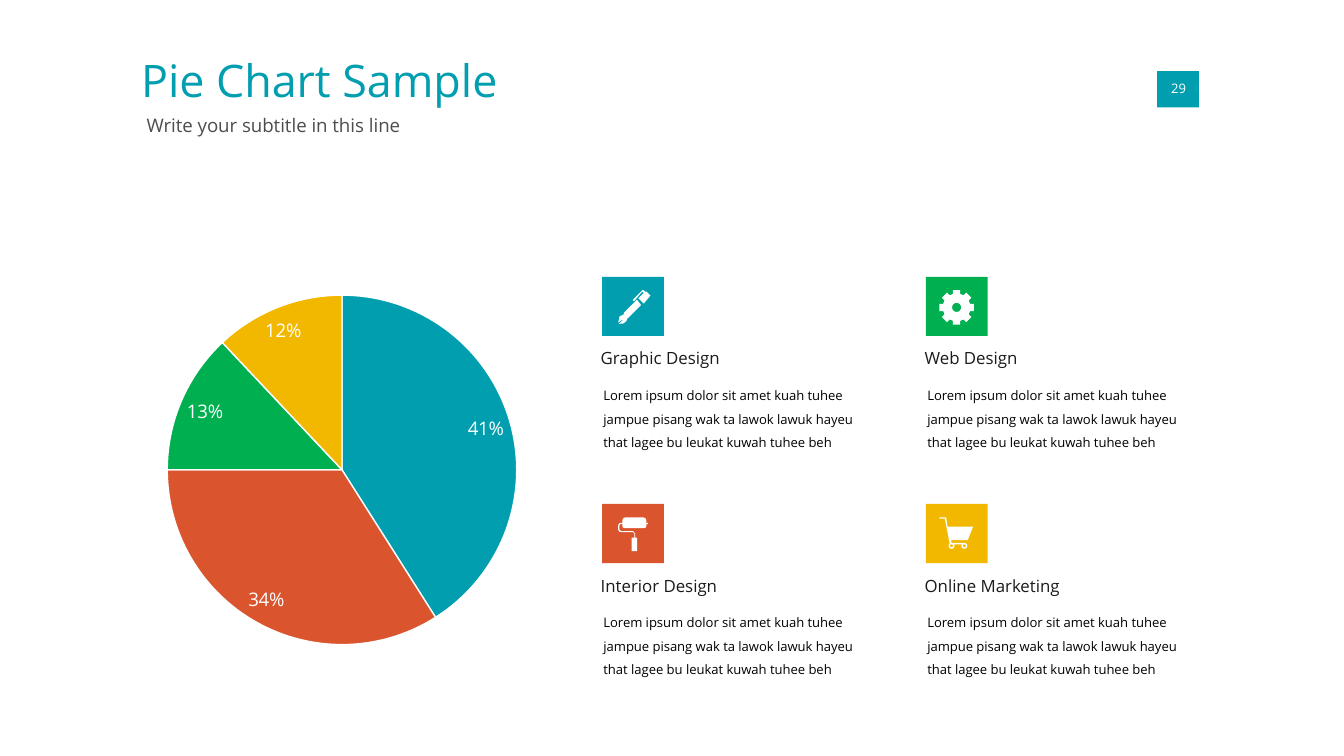
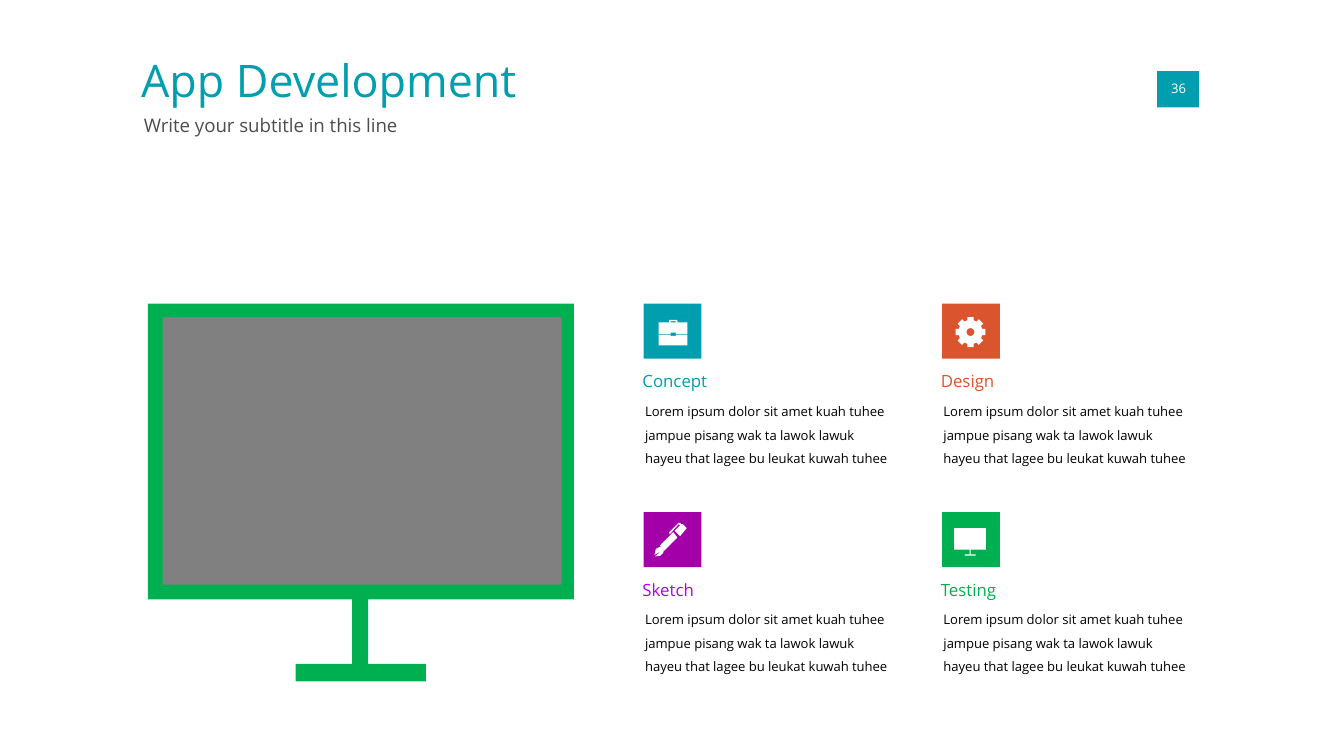
"""Build a pie chart slide and an app development slide."""
from dataclasses import dataclass
from math import cos, radians, sin

from lxml import etree
from pptx import Presentation
from pptx.chart.data import CategoryChartData
from pptx.dml.color import RGBColor
from pptx.enum.chart import XL_CHART_TYPE as ChartType, XL_LABEL_POSITION as LabelPos
from pptx.enum.shapes import MSO_SHAPE as Shape
from pptx.enum.text import MSO_ANCHOR as Anchor, MSO_AUTO_SIZE as AutoSize, PP_ALIGN as Align
from pptx.oxml.ns import qn
from pptx.util import Inches, Pt

TEAL = RGBColor(0x00, 0x9E, 0xAF)
RED = RGBColor(0xDA, 0x54, 0x2D)
GREEN = RGBColor(0x00, 0xB0, 0x50)
YELLOW = RGBColor(0xF2, 0xB8, 0x00)
PURPLE = RGBColor(0xA3, 0x00, 0xAA)
VIOLET = RGBColor(0xAE, 0x00, 0xF0)
GRAY = RGBColor(0x80, 0x80, 0x80)
DARK = RGBColor(0x4D, 0x4D, 0x4D)
INK = RGBColor(0x1A, 0x1A, 0x1A)
BLACK = RGBColor(0x00, 0x00, 0x00)
WHITE = RGBColor(0xFF, 0xFF, 0xFF)

FONT = "Open Sans"
SUBTITLE = "Write your subtitle in this line"
LOREM = ("Lorem ipsum dolor sit amet kuah tuhee jampue pisang wak ta lawok "
         "lawuk hayeu that lagee bu leukat kuwah tuhee")


def arc(cx, cy, r, start=0, end=360, n=16):
    """Return points along an arc, with angles running clockwise from the right."""
    angles = [radians(start + (end - start) * i / n) for i in range(n + 1)]
    return [(cx + r * cos(a), cy + r * sin(a)) for a in angles]


def gear(c=12.8, half=2.7, root=10, teeth=8):
    """Return the outline of a gear and its round hole."""
    tooth = [(root, -half), (c, -half), (c, half), (root, half)]
    outline = []
    for i in range(teeth):
        a = radians(360 * i / teeth)
        outline += [(c + x * cos(a) - y * sin(a), c + x * sin(a) + y * cos(a)) for x, y in tooth]
    return [outline, arc(c, c, 3.4)]


def monitor(w, h, neck, foot, base, bottom):
    """Return the outline of a screen on a stand."""
    (n1, n2), (f1, f2) = neck, foot
    return [[(w, h), (w, 0), (0, 0), (0, h), (n1, h), (n1, base), (f1, base),
             (f1, bottom), (f2, bottom), (f2, base), (n2, base), (n2, h)]]


PEN = [
    [[(11, 8), (12, 8), (18, 1), (19, 2), (15, 6), (19, 10), (24, 4), (21, 1),
      (20, 1), (19, 0), (18, 0), (11, 7)]],
    [[(17, 11), (14, 7), (4, 17), (5, 18), (4, 18), (2, 19), (1, 19.5), (0.5, 22),
      (0, 24), (3, 22), (3.4, 22.4), (0.4, 25), (4, 24.7), (6, 23), (6.8, 21.5),
      (6, 20), (7, 21)]],
]
ROLLER = [[[
    (21, 4), (21, 3), (20.6, 1), (19, 0), (5, 0), (3.4, 1), (3, 3), (3, 4), (2, 4),
    (0.5, 4.6), (0, 6), (0, 9), (0.6, 10.5), (2, 11), (11, 11), (12, 12), (12, 15),
    (10, 15), (10, 25), (14, 25), (14, 15), (12.6, 15), (12.6, 12), (11, 10.2),
    (2, 10.2), (0.8, 9), (0.8, 6), (2, 4.8), (3, 4.8), (3, 6), (3.4, 7.5), (5, 8),
    (19, 8), (20.6, 7.5), (21, 6), (21, 5), (22, 5), (22, 4)]]]
CART = [[
    [(25, 7), (6, 7), (5, 0), (0, 0), (0, 1), (4, 1), (7.5, 19),
     *arc(9, 21.2, 2.2, 240, -30), *arc(18.5, 21.2, 2.2, 210, -90),
     (9, 19), (8.6, 17), (21, 17)],
    arc(9, 21.2, 1.1), arc(18.5, 21.2, 1.1)]]
BRIEFCASE = [
    [[(14, 11), (13, 11), (13, 12), (9, 12), (9, 11), (0, 11), (0, 19), (21.5, 19),
      (21.5, 11)]],
    [[(14, 2), (14, 0), (8, 0), (8, 2), (0, 2), (0, 10.4), (9, 10.4), (9, 9.5),
      (13, 9.5), (13, 10.4), (21.5, 10.4), (21.5, 2)],
     [(9, 1), (13, 1), (13, 2), (9, 2)]],
]
GEAR = [gear()]
SCREEN = [monitor(23.5, 16, (11.5, 12.3), (8, 16), 19.5, 20.5)]
DESKTOP = [monitor(317, 220, (152, 164), (110, 207), 268, 281)]


@dataclass
class Grid:
    """Sizes shared by the four cards of a slide."""
    x: float
    y: float
    dx: float
    dy: float
    tile: tuple
    text_w: float
    label_y: float
    body_y: float
    body_h: float


def paint(sp, color):
    """Give a shape a flat fill without line or shadow."""
    sp.shadow.inherit = False
    sp.fill.solid()
    sp.fill.fore_color.rgb = color
    sp.line.fill.background()


def add_rect(s, x, y, w, h, color):
    """Add a flat rectangle."""
    sp = s.shapes.add_shape(Shape.RECTANGLE, Inches(x), Inches(y), Inches(w), Inches(h))
    paint(sp, color)


def add_outline(s, x, y, parts, color, scale=1):
    """Draw outlines, given in hundredths of an inch, from a top left corner."""
    for contours in parts:
        fb = None
        for contour in contours:
            pts = [(Inches(x + px * scale / 100), Inches(y + py * scale / 100))
                   for px, py in contour]
            if fb is None:
                fb = s.shapes.build_freeform(*pts[0], scale=1.0)
            else:
                fb.move_to(*pts[0])
            fb.add_line_segments(pts[1:], close=True)
        paint(fb.convert_to_shape(), color)


def set_font(font, size, color):
    """Apply the deck's font with a size and colour."""
    for name, value in {"name": FONT, "size": Pt(size)}.items():
        setattr(font, name, value)
    font.color.rgb = color


def add_text(s, x, y, w, h, text, size, color, inset=0, frame=None, para=None):
    """Add a text box, with optional frame and paragraph formats."""
    tf = s.shapes.add_textbox(Inches(x), Inches(y), Inches(w), Inches(h)).text_frame
    margins = {f"margin_{side}": Inches(inset) for side in ("left", "top", "right", "bottom")}
    for name, value in {"word_wrap": True, **margins, **(frame or {})}.items():
        setattr(tf, name, value)
    p = tf.paragraphs[0]
    for name, value in (para or {}).items():
        setattr(p, name, value)
    r = p.add_run()
    r.text = text
    set_font(r.font, size, color)


def add_header(s, title, number, subtitle_x):
    """Add the title, page number and subtitle."""
    add_text(s, 1.05, 0.39, 4.76, 0.49, title, 24, TEAL)
    add_rect(s, 8.61, 0.53, 0.31, 0.27, TEAL)
    add_text(s, 8.7, 0.6, 0.14, 0.12, number, 7, WHITE,
             frame={"word_wrap": False, "vertical_anchor": Anchor.MIDDLE,
                    "auto_size": AutoSize.SHAPE_TO_FIT_TEXT},
             para={"alignment": Align.CENTER})
    add_text(s, subtitle_x, 0.85, 6.91, 0.23, SUBTITLE, 10, DARK)


def add_card(s, x, y, g, label, label_color, tile_color, icon, offset, scale, body):
    """Add an icon tile with its label and description."""
    add_text(s, x - 0.01, y + g.label_y, g.text_w, 0.21, label, 9, label_color)
    add_rect(s, x, y, *g.tile, tile_color)
    add_text(s, x - 0.03, y + g.body_y, g.text_w, g.body_h, body, 7, BLACK, inset=0.04,
             frame={"vertical_anchor": Anchor.BOTTOM}, para={"line_spacing": 1.5})
    add_outline(s, x + offset[0], y + offset[1], icon, WHITE, scale)


def add_cards(s, g, cards, body):
    """Place four cards column by column."""
    for i, card in enumerate(cards):
        col, row = divmod(i, 2)
        add_card(s, g.x + col * g.dx, g.y + row * g.dy, g, *card, body)


def set_plot_box(chart, y, w, h):
    """Fix the inner plot area, centred across, as fractions of the chart."""
    area = chart._chartSpace.find(".//" + qn("c:plotArea"))
    for old in area.findall(qn("c:layout")):
        area.remove(old)
    layout = etree.Element(qn("c:layout"))
    area.insert(0, layout)
    manual = etree.SubElement(layout, qn("c:manualLayout"))
    values = {"layoutTarget": "inner", "xMode": "edge", "yMode": "edge",
              "x": (1 - w) / 2, "y": y, "w": w, "h": h}
    for name, value in values.items():
        etree.SubElement(manual, qn("c:" + name)).set("val", str(value))


def add_pie(s, x, y, w, h):
    """Add the pie chart with percentage labels."""
    data = CategoryChartData()
    data.categories = ["1", "2", "3", "4"]
    data.add_series("Series 1", (41, 34, 13, 12))
    chart = s.shapes.add_chart(ChartType.PIE, Inches(x), Inches(y), Inches(w), Inches(h),
                               data).chart
    chart.has_legend = chart.has_title = False
    chart.font.name, chart.font.size = "Calibri", Pt(18)
    chart.font.color.rgb = BLACK
    set_plot_box(chart, 0.11, 0.57, 0.85)
    plot = chart.plots[0]
    plot.vary_by_categories = True
    for i, color in enumerate((TEAL, RED, GREEN, YELLOW)):
        fmt = plot.series[0].points[i].format
        fmt.fill.solid()
        fmt.fill.fore_color.rgb = color
        fmt.line.color.rgb = WHITE
        fmt.line.width = Pt(0.75)
    plot.has_data_labels = True
    labels = plot.data_labels
    formats = {"show_percentage": True, "show_value": False, "number_format": "0%",
               "number_format_is_linked": False, "position": LabelPos.BEST_FIT}
    for name, value in formats.items():
        setattr(labels, name, value)
    set_font(labels.font, 10, WHITE)


def pie_slide(s):
    """Build the pie chart slide."""
    add_header(s, "Pie Chart Sample", "29", 1.09)
    grid = Grid(4.48, 2.06, 2.41, 1.69, (0.46, 0.44), 2.06, 0.53, 0.79, 0.54)
    add_cards(s, grid, [
        ("Graphic Design", INK, TEAL, PEN, (0.12, 0.1), 1),
        ("Interior Design", INK, RED, ROLLER, (0.12, 0.1), 1),
        ("Web Design", INK, GREEN, GEAR, (0.1, 0.1), 1),
        ("Online Marketing", INK, YELLOW, CART, (0.1, 0.1), 1),
    ], LOREM + " beh")
    add_pie(s, 0.25, 1.86, 4.59, 3.06)


def app_slide(s):
    """Build the app development slide."""
    add_header(s, "App Development", "36", 1.07)
    grid = Grid(4.79, 2.26, 2.22, 1.55, (0.43, 0.41), 1.92, 0.5, 0.75, 0.5)
    add_cards(s, grid, [
        ("Concept", TEAL, TEAL, BRIEFCASE, (0.11, 0.12), 1),
        ("Sketch", VIOLET, PURPLE, PEN, (0.08, 0.08), 1),
        ("Design", RED, RED, GEAR, (0.1, 0.1), 0.87),
        ("Testing", GREEN, GREEN, SCREEN, (0.09, 0.12), 1),
    ], LOREM)
    add_outline(s, 1.1, 2.26, DESKTOP, GREEN)
    add_rect(s, 1.21, 2.36, 2.97, 1.99, GRAY)


def main():
    """Create the deck and save it."""
    prs = Presentation()
    prs.slide_width, prs.slide_height = Inches(10), Inches(10 * 9 / 16)
    for build in (pie_slide, app_slide):
        build(prs.slides.add_slide(prs.slide_layouts[6]))
    prs.save("out.pptx")


if __name__ == "__main__":
    main()
